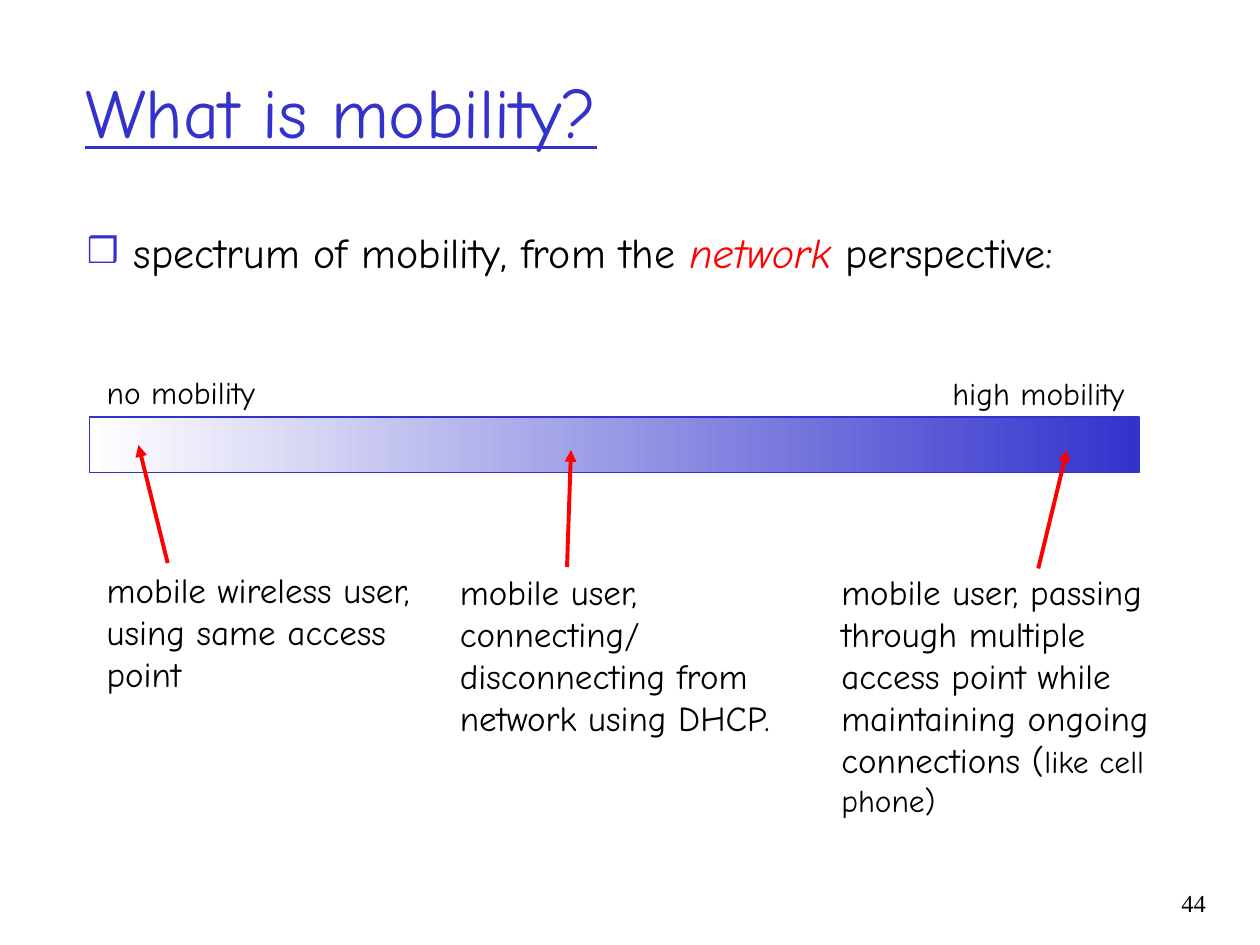
from dataclasses import dataclass, field
from typing import Any

from lxml.etree import SubElement
from pptx import Presentation
from pptx.dml.color import RGBColor
from pptx.enum.shapes import MSO_CONNECTOR, MSO_SHAPE
from pptx.enum.text import MSO_ANCHOR, MSO_AUTO_SIZE, PP_ALIGN
from pptx.oxml.ns import qn
from pptx.util import Cm, Pt

BLUE, RED, BLACK, WHITE = "3333CC", "FF0000", "000000", "FFFFFF"
GROW = {"auto_size": MSO_AUTO_SIZE.SHAPE_TO_FIT_TEXT}
TIGHT = GROW | {"word_wrap": False}


@dataclass
class Run:
    text: str
    color: str = BLACK
    style: dict[str, Any] = field(default_factory=dict)


@dataclass
class Label:
    box: tuple[float, float, float, float]
    lines: list[list[Run]]
    size: int = 20
    frame: dict[str, Any] = field(default_factory=dict)
    face: str = "Comic Neue"
    align: PP_ALIGN = PP_ALIGN.LEFT
    bullet: str = ""


@dataclass
class Arrow:
    start: tuple[float, float]
    end: tuple[float, float]


LABELS = [
    Label((1.47, 0.64, 21.59, 3.18),
          [[Run("What is mobility?", BLUE, {"underline": True})]],
          40, {"vertical_anchor": MSO_ANCHOR.MIDDLE}),
    Label((1.5, 4.45, 22.78, 1.6),
          [[Run("spectrum of mobility, from the "),
            Run("network", RED, {"italic": True}),
            Run(" perspective:")]], 24, bullet="❒"),
    Label((1.9, 7.39, 3.6, 1.02), [[Run("no mobility")]], 18, TIGHT),
    Label((18.95, 7.42, 4.1, 1.02), [[Run("high mobility")]], 18, TIGHT),
    Label((1.9, 11.33, 6.93, 2.79),
          [[Run("mobile wireless user,")], [Run("using same access")],
           [Run("point")]], frame=TIGHT),
    Label((9.02, 11.38, 6.76, 4.5),
          [[Run("mobile user, connecting/ disconnecting from "
                "network using DHCP.")]], frame=GROW),
    Label((16.71, 11.38, 7.47, 5.26),
          [[Run("mobile user, passing through multiple access point "
                "while maintaining ongoing connections ("),
            Run("like cell phone)", style={"size": Pt(18)})]], frame=GROW),
    Label((22.68, 17.78, 1.88, 1.27), [[Run("44")]], 14,
          face="Times New Roman", align=PP_ALIGN.RIGHT),
]
ARROWS = [
    Arrow((3.38, 11.35), (2.79, 8.97)),
    Arrow((11.43, 11.43), (11.51, 9.07)),
    Arrow((20.93, 11.46), (21.51, 9.07)),
]


def tint(target: Any, color: str) -> None:
    target.rgb = RGBColor.from_string(color)


def apply(target: Any, values: dict[str, Any]) -> None:
    for name, value in values.items():
        setattr(target, name, value)


def add_bullet(para: Any, mark: str) -> None:
    """Hang the paragraph behind a blue mark."""
    props = para._p.get_or_add_pPr()
    props.set("marL", str(Cm(0.95)))
    props.set("indent", str(-Cm(0.95)))
    SubElement(SubElement(props, qn("a:buClr")), qn("a:srgbClr"), val=BLUE)
    SubElement(props, qn("a:buSzPct"), val="85000")
    SubElement(props, qn("a:buFont"), typeface="Comic Neue")
    SubElement(props, qn("a:buChar"), char=mark)


def add_label(slide: Any, label: Label) -> None:
    frame = slide.shapes.add_textbox(*map(Cm, label.box)).text_frame
    apply(frame, {"word_wrap": True} | label.frame)
    for index, line in enumerate(label.lines):
        para = frame.add_paragraph() if index else frame.paragraphs[0]
        para.alignment = label.align
        if label.bullet:
            add_bullet(para, label.bullet)
        for part in line:
            run = para.add_run()
            run.text = part.text
            base = {"name": label.face, "size": Pt(label.size)}
            apply(run.font, base | part.style)
            tint(run.font.color, part.color)


def add_scale(slide: Any) -> None:
    """Draw the bar that fades from white to blue."""
    box = map(Cm, (1.8, 8.41, 21.16, 1.12))
    bar = slide.shapes.add_shape(MSO_SHAPE.RECTANGLE, *box)
    bar.shadow.inherit = False
    bar.fill.gradient()
    bar.fill.gradient_angle = 180
    for stop, color in zip(bar.fill.gradient_stops, (BLUE, WHITE)):
        tint(stop.color, color)
    tint(bar.line.color, BLUE)
    bar.line.width = Pt(0.75)


def add_arrow(slide: Any, arrow: Arrow) -> None:
    ends = map(Cm, arrow.start + arrow.end)
    link = slide.shapes.add_connector(MSO_CONNECTOR.STRAIGHT, *ends)
    tint(link.line.color, RED)
    link.line.width = Pt(2.25)
    SubElement(link.line._get_or_add_ln(), qn("a:tailEnd"), type="triangle")
    SubElement(link._element.spPr, qn("a:effectLst"))


def main() -> None:
    deck = Presentation()
    apply(deck, {"slide_width": Cm(25.4), "slide_height": Cm(19.05)})
    slide = deck.slides.add_slide(deck.slide_layouts[6])
    add_scale(slide)
    for label in LABELS:
        add_label(slide, label)
    for arrow in ARROWS:
        add_arrow(slide, arrow)
    deck.save("out.pptx")


if __name__ == "__main__":
    main()
